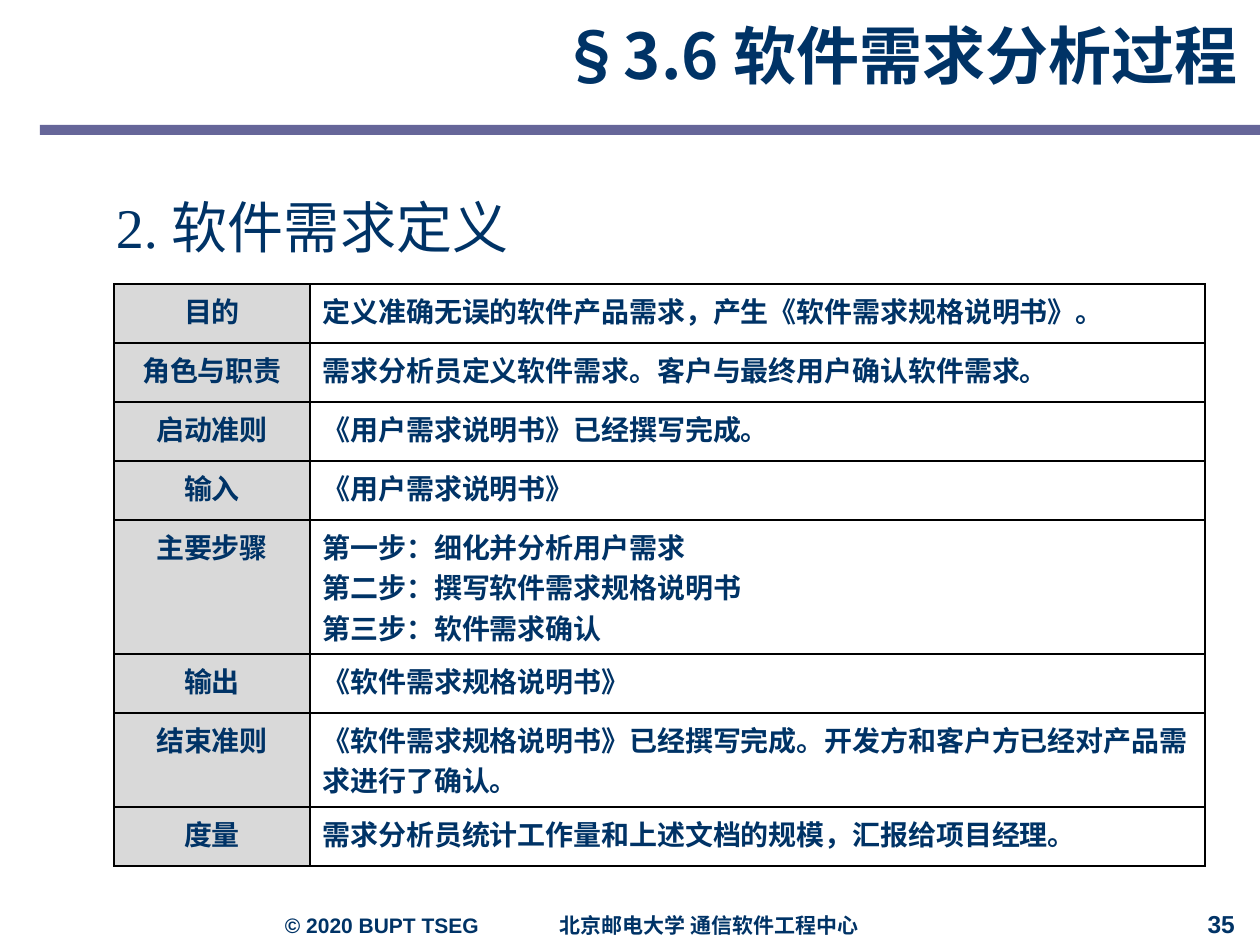
from dataclasses import dataclass

from lxml import etree
from pptx import Presentation
from pptx.dml.color import RGBColor
from pptx.enum.shapes import MSO_SHAPE
from pptx.enum.text import MSO_ANCHOR, MSO_AUTO_SIZE, PP_ALIGN
from pptx.oxml.ns import qn
from pptx.util import Pt

RECT = MSO_SHAPE.RECTANGLE
TOP, MIDDLE = MSO_ANCHOR.TOP, MSO_ANCHOR.MIDDLE
LEFT, CENTER, RIGHT = PP_ALIGN.LEFT, PP_ALIGN.CENTER, PP_ALIGN.RIGHT
FIXED = MSO_AUTO_SIZE.NONE
SCALE = 914400 / 126


def px(n):
    return round(n * SCALE)


@dataclass(frozen=True)
class Theme:
    ink: str = "003366"
    bar: str = "666699"
    label: str = "D9D9D9"
    rule: str = "000000"
    sans: str = "Arial"
    serif: str = "Times New Roman"
    han: str = "Noto Sans CJK SC"
    title: int = 36
    head: int = 32
    cell: int = 16
    page: int = 14
    foot: int = 12


class Deck:
    def __init__(self, theme):
        self.theme = theme
        self.prs = Presentation()
        self.prs.slide_width, self.prs.slide_height = px(1260), px(945)
        self.slide = self.prs.slides.add_slide(self.prs.slide_layouts[5])

    def apply(self, item, values):
        for name, value in values.items():
            setattr(item, name, value)

    def fill_text(self, frame, lines, size, face, bold=True, tab=None, **form):
        """Fill a text frame with one styled paragraph per line."""
        frame.text = "\n".join(lines)
        for para in frame.paragraphs:
            if tab:
                stops = etree.SubElement(para._p.get_or_add_pPr(), qn("a:tabLst"))
                etree.SubElement(stops, qn("a:tab"), pos=str(px(tab)), algn="l")
            self.apply(para, form)
            for run in para.runs:
                self.apply(run.font, {"size": Pt(size), "name": face, "bold": bold})
                run.font.color.rgb = RGBColor.from_string(self.theme.ink)
                han = etree.SubElement(run._r.get_or_add_rPr(), qn("a:ea"))
                han.set("typeface", self.theme.han)

    def place(self, shape, box, pad, anchor):
        sides = ("left", "top", "width", "height")
        self.apply(shape, dict(zip(sides, map(px, box))))
        left, down, right = pad
        self.apply(shape.text_frame, {
            "word_wrap": True, "auto_size": FIXED, "vertical_anchor": anchor,
            "margin_left": px(left), "margin_right": px(right),
            "margin_top": px(down), "margin_bottom": px(down)})

    def title(self, text, box):
        shape = self.slide.shapes.title
        self.place(shape, box, (25, 5, 15), MIDDLE)
        self.fill_text(shape.text_frame, [text], self.theme.title, self.theme.han,
                       alignment=RIGHT, line_spacing=0.75)

    def text(self, text, box, size, face, pad=(13, 6, 13), anchor=MIDDLE, **form):
        shape = self.slide.shapes.add_textbox(*map(px, box))
        self.place(shape, box, pad, anchor)
        self.fill_text(shape.text_frame, [text], size, face, **form)

    def bar(self, box):
        shape = self.slide.shapes.add_shape(RECT, *map(px, box))
        shape.shadow.inherit = False
        shape.fill.solid()
        shape.fill.fore_color.rgb = RGBColor.from_string(self.theme.bar)
        shape.line.fill.background()

    def edge(self, cell):
        """Draw thin lines on all four sides of a cell."""
        props = cell._tc.get_or_add_tcPr()
        for spot, side in enumerate(("lnL", "lnR", "lnT", "lnB")):
            line = etree.Element(qn("a:" + side), w=str(Pt(1)))
            fill = etree.SubElement(line, qn("a:solidFill"))
            etree.SubElement(fill, qn("a:srgbClr"), val=self.theme.rule)
            props.insert(spot, line)

    def table(self, rows, left, top, widths):
        heights = [high for _, _, high in rows]
        box = (left, top, sum(widths), sum(heights))
        grid = self.slide.shapes.add_table(len(rows), 2, *map(px, box)).table
        self.apply(grid, {"first_row": False, "horz_banding": False})
        for col, wide in zip(grid.columns, widths):
            col.width = px(wide)
        for row, (label, lines, high) in zip(grid.rows, rows):
            row.height = px(high)
            name, body = row.cells
            name.fill.solid()
            name.fill.fore_color.rgb = RGBColor.from_string(self.theme.label)
            body.fill.background()
            for cell, words, align in ((name, [label], CENTER), (body, lines, LEFT)):
                self.edge(cell)
                self.fill_text(cell.text_frame, words, self.theme.cell,
                               self.theme.serif, alignment=align)


ROW = 59
ROWS = [
    ("目的", ["定义准确无误的软件产品需求，产生《软件需求规格说明书》。"], ROW),
    ("角色与职责", ["需求分析员定义软件需求。客户与最终用户确认软件需求。"], ROW),
    ("启动准则", ["《用户需求说明书》已经撰写完成。"], ROW),
    ("输入", ["《用户需求说明书》"], ROW),
    ("主要步骤", ["第一步：细化并分析用户需求",
              "第二步：撰写软件需求规格说明书",
              "第三步：软件需求确认"], 134),
    ("输出", ["《软件需求规格说明书》"], ROW),
    ("结束准则", ["《软件需求规格说明书》已经撰写完成。"
              "开发方和客户方已经对产品需求进行了确认。"], 94),
    ("度量", ["需求分析员统计工作量和上述文档的规模，汇报给项目经理。"], ROW),
]


def main():
    theme = Theme()
    deck = Deck(theme)

    # Heading band
    deck.bar((40, 125, 1220, 10))
    deck.title("§3.6 软件需求分析过程", (354, 0, 898, 125))

    # Section heading and table
    deck.text("2. 软件需求定义", (89, 194, 1149, 669), theme.head, theme.serif,
              pad=(27, 6, 13), anchor=TOP, bold=False, line_spacing=0.9)
    deck.table(ROWS, 114, 284, (196, 895))

    # Footer
    deck.text("© 2020 BUPT TSEG\t北京邮电大学 通信软件工程中心",
              (272, 905, 633, 40), theme.foot, theme.sans, tab=275)
    deck.text("35", (809, 908, 451, 37), theme.page, theme.sans,
              pad=(25, 6, 25), alignment=RIGHT, line_spacing=0.85)

    deck.prs.save("out.pptx")


if __name__ == "__main__":
    main()
